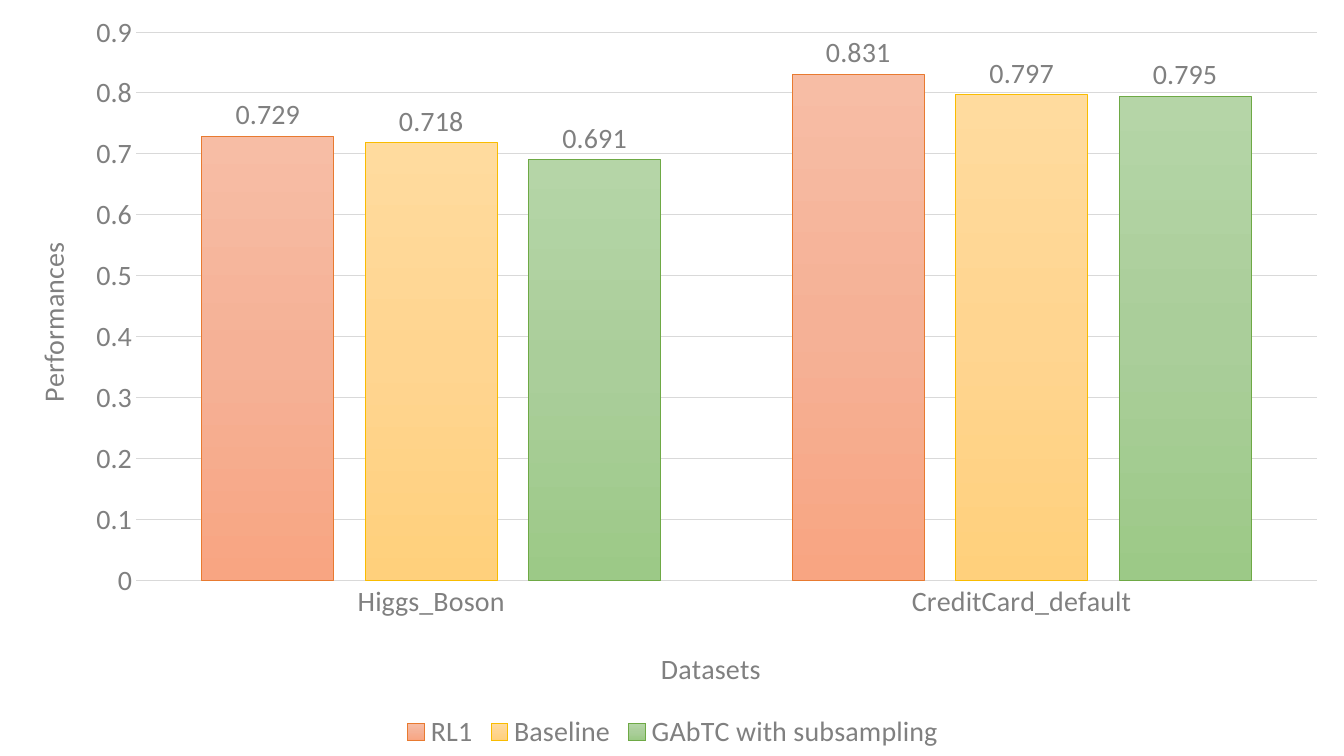
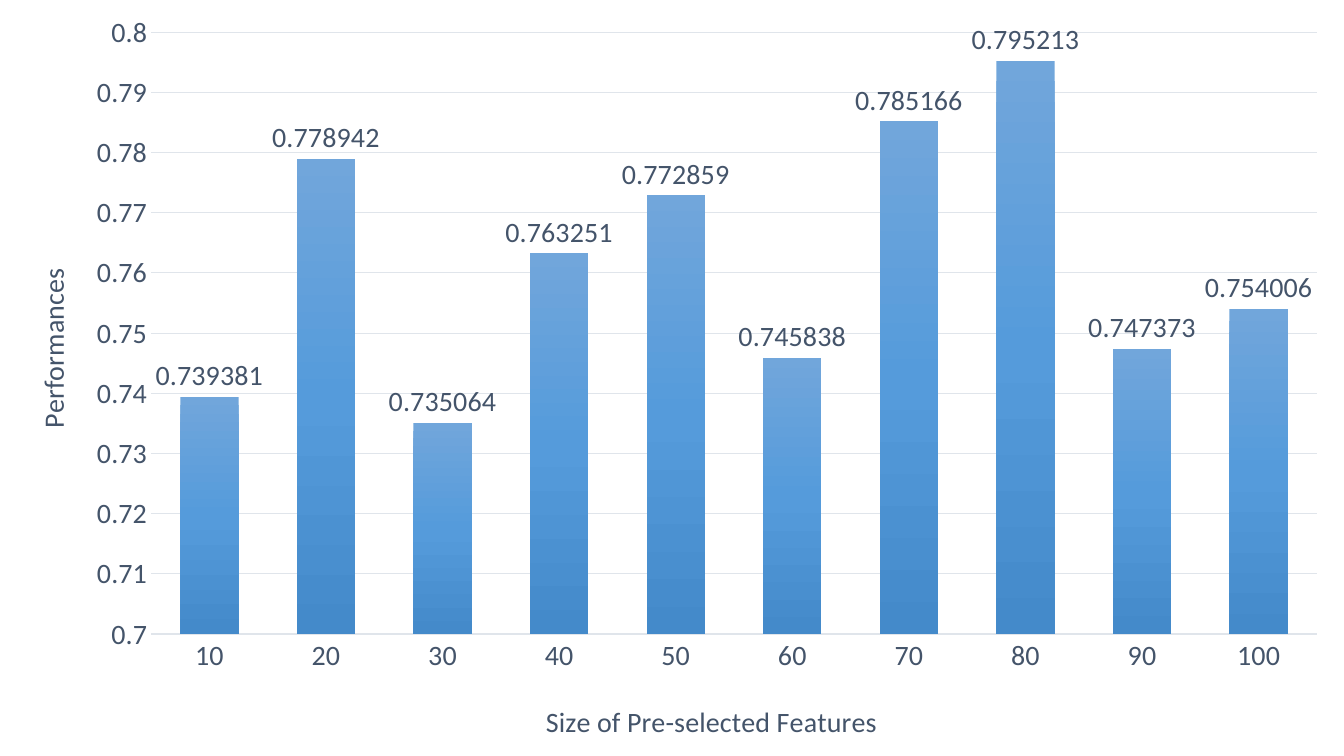
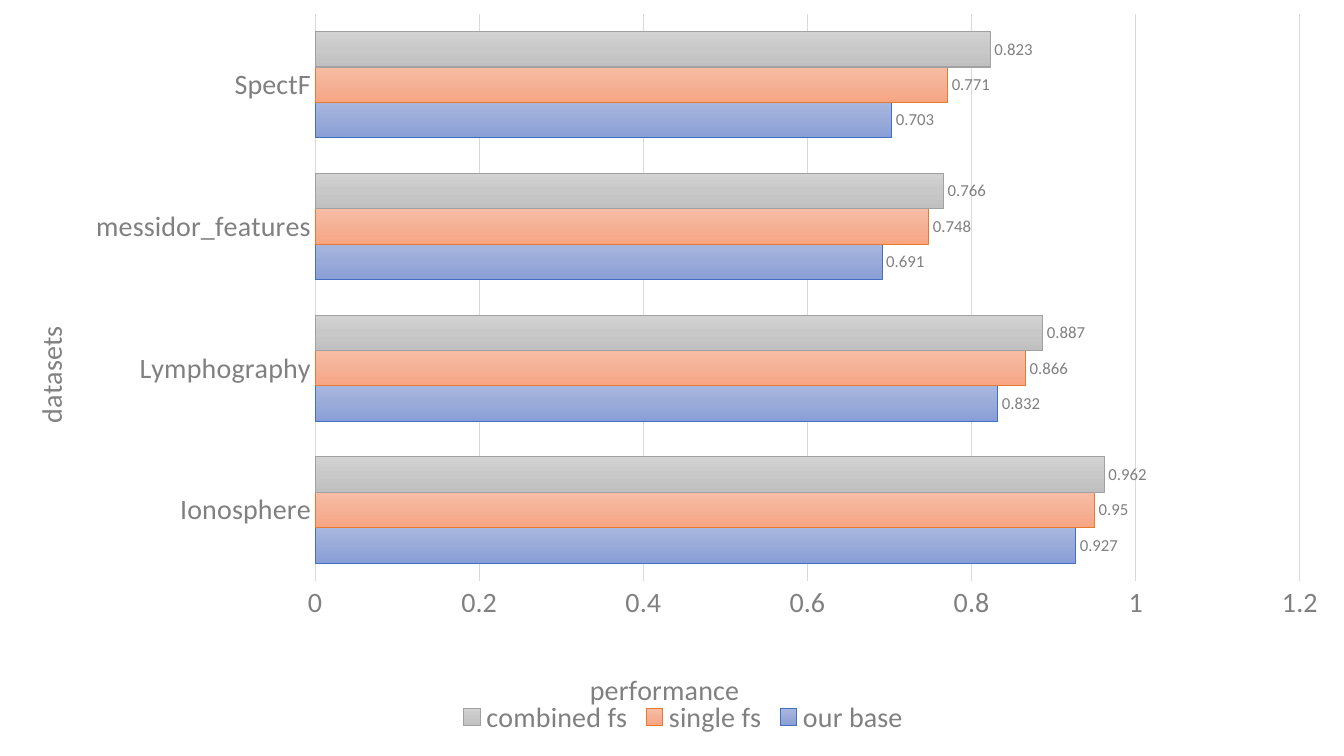
from copy import deepcopy
from dataclasses import dataclass

from pptx import Presentation
from pptx.chart.data import CategoryChartData
from pptx.dml.color import RGBColor
from pptx.enum.chart import XL_CHART_TYPE as ChartType
from pptx.enum.chart import XL_LABEL_POSITION as LabelPosition
from pptx.enum.chart import XL_LEGEND_POSITION as LegendPosition
from pptx.enum.chart import XL_TICK_MARK as TickMark
from pptx.oxml import parse_xml
from pptx.oxml.ns import nsdecls, qn
from pptx.util import Cm, Pt

GRAY = RGBColor(0x80, 0x80, 0x80)
LIGHT_GRAY = RGBColor(0xD9, 0xD9, 0xD9)
SLATE = RGBColor(0x44, 0x54, 0x6A)
PALE_SLATE = RGBColor(0xE0, 0xE5, 0xEB)
ORANGE_LINE = RGBColor(0xE8, 0x7A, 0x30)
YELLOW_LINE = RGBColor(0xF9, 0xBC, 0x00)
GREEN_LINE = RGBColor(0x6E, 0xA9, 0x45)
BLUE_LINE = RGBColor(0x43, 0x6F, 0xC0)
SILVER_LINE = RGBColor(0xA1, 0xA1, 0xA1)
ORANGE = (RGBColor(0xF7, 0xBD, 0xA5), RGBColor(0xF5, 0xB1, 0x96), RGBColor(0xF8, 0xA5, 0x82))
YELLOW = (RGBColor(0xFF, 0xDB, 0x9E), RGBColor(0xFF, 0xD5, 0x90), RGBColor(0xFF, 0xD0, 0x7C))
GREEN = (RGBColor(0xB5, 0xD5, 0xA7), RGBColor(0xAA, 0xCE, 0x9A), RGBColor(0x9C, 0xC9, 0x87))
SKY = (RGBColor(0x71, 0xA6, 0xDB), RGBColor(0x55, 0x9B, 0xDB), RGBColor(0x44, 0x8A, 0xCA))
BLUE = (RGBColor(0xA8, 0xB7, 0xDF), RGBColor(0x9A, 0xAB, 0xD9), RGBColor(0x88, 0x9E, 0xD7))
SILVER = (RGBColor(0xD2, 0xD2, 0xD2), RGBColor(0xC8, 0xC8, 0xC8), RGBColor(0xC0, 0xC0, 0xC0))

FONT = "Calibri"
TEXT_SIZE = Pt(20)
HAIRLINE = Pt(0.75)
WIDTH, HEIGHT = Cm(33.87), Cm(19.05)


@dataclass
class Bars:
    """One data series with its gradient and outline."""
    name: str
    values: tuple
    gradient: tuple
    outline: RGBColor = None


@dataclass
class AxisTitle:
    """Wording of an axis title and its corner in centimetres."""
    text: str
    corner: tuple


@dataclass
class BarChart:
    """Everything that sets one chart apart; places are in centimetres."""
    kind: ChartType
    categories: tuple
    series: tuple
    scale: tuple
    plot: tuple
    category_title: AxisTitle
    value_title: AxisTitle
    legend: tuple = None
    overlap: int = -24
    label_size: Pt = TEXT_SIZE
    text_color: RGBColor = GRAY
    line_color: RGBColor = LIGHT_GRAY


def style_font(font, color, size=TEXT_SIZE):
    """Give a font the shared face and weight."""
    font.name, font.size, font.bold = FONT, size, False
    font.color.rgb = color


def style_line(line, color):
    """Draw a thin line, or none when there is no color."""
    if color is None:
        line.fill.background()
    else:
        line.color.rgb = color
        line.width = HAIRLINE


def place(parent, box, place_in):
    """Fix a chart part at a left, top and optional width, height."""
    layout = parent.find(qn("c:layout"))
    if layout is None:
        layout = parse_xml(f"<c:layout {nsdecls('c')}/>")
        parent.insert(0, layout)
    target = '<c:layoutTarget val="inner"/>' if len(box) == 4 else ""
    modes = '<c:xMode val="edge"/><c:yMode val="edge"/>'
    extents = "".join(
        f'<c:{tag} val="{Cm(length) / whole:.5f}"/>'
        for tag, length, whole in zip("xywh", box, place_in * 2))
    layout.append(parse_xml(
        f"<c:manualLayout {nsdecls('c')}>{target}{modes}{extents}</c:manualLayout>"))


def fill_gradient(fill, colors):
    """Fill with evenly spaced colors from top to bottom."""
    fill.gradient()
    fill.gradient_angle = 270
    first = fill.gradient_stops[0].element
    first.addnext(deepcopy(first))
    for index, (stop, color) in enumerate(zip(fill.gradient_stops, colors)):
        stop.position = index / (len(colors) - 1)
        stop.color.rgb = color


def style_axis(axis, title, color, line_color, size, turned):
    """Format an axis and its title."""
    axis.major_tick_mark = axis.minor_tick_mark = TickMark.NONE
    style_font(axis.tick_labels.font, color)
    style_line(axis.format.line, line_color)
    frame = axis.axis_title.text_frame
    frame.text = title.text
    style_font(frame.paragraphs[0].font, color)
    title_element = axis.axis_title.element
    title_element.find(".//" + qn("a:bodyPr")).set("rot", "-5400000" if turned else "0")
    place(title_element, title.corner, size)


def style_series(series, bars, model):
    """Format the bars and the value labels of a series."""
    series.smooth = False
    fill_gradient(series.format.fill, bars.gradient)
    style_line(series.format.line, bars.outline)
    labels = series.data_labels
    labels.show_value = True
    labels.position = LabelPosition.OUTSIDE_END
    style_font(labels.font, model.text_color, model.label_size)


def add_bar_chart(slide, model, left, top, width, height):
    """Place a clustered chart in the given box."""
    data = CategoryChartData()
    data.categories = model.categories
    for bars in model.series:
        data.add_series(bars.name, bars.values)
    chart = slide.shapes.add_chart(model.kind, left, top, width, height, data).chart
    size = (width, height)
    style_font(chart.font, model.text_color)
    chart.has_title = False
    chart.has_legend = model.legend is not None
    if model.legend:
        chart.legend.position = LegendPosition.BOTTOM
        chart.legend.include_in_layout = False
        style_font(chart.legend.font, model.text_color)
        place(chart.element.find(".//" + qn("c:legend")), model.legend, size)
    place(chart.element.find(".//" + qn("c:plotArea")), model.plot, size)

    plot = chart.plots[0]
    plot.gap_width, plot.overlap = 100, model.overlap
    plot.vary_by_categories = False
    for series, bars in zip(plot.series, model.series):
        style_series(series, bars, model)

    upright = model.kind == ChartType.COLUMN_CLUSTERED
    style_axis(chart.category_axis, model.category_title, model.text_color,
               model.line_color, size, turned=not upright)
    value_axis = chart.value_axis
    style_axis(value_axis, model.value_title, model.text_color, None, size, turned=upright)
    value_axis.minimum_scale, value_axis.maximum_scale, value_axis.major_unit = model.scale
    style_line(value_axis.major_gridlines.format.line, model.line_color)


CHARTS = (
    BarChart(
        kind=ChartType.COLUMN_CLUSTERED,
        categories=("Higgs_Boson", "CreditCard_default"),
        series=(
            Bars("RL1", (0.729, 0.831), ORANGE, ORANGE_LINE),
            Bars("Baseline", (0.718, 0.797), YELLOW, YELLOW_LINE),
            Bars("GAbTC with subsampling", (0.691, 0.795), GREEN, GREEN_LINE),
        ),
        scale=(0, 0.9, 0.1),
        plot=(3.43, 0.81, 29.76, 13.81),
        category_title=AxisTitle("Datasets", (16.53, 16.23)),
        value_title=AxisTitle("Performances", (0.71, 5.97)),
        legend=(10.05, 17.95),
    ),
    BarChart(
        kind=ChartType.COLUMN_CLUSTERED,
        categories=tuple(str(count) for count in range(10, 101, 10)),
        series=(
            Bars("Series 1", (0.739381, 0.778942, 0.735064, 0.763251, 0.772859,
                              0.745838, 0.785166, 0.795213, 0.747373, 0.754006), SKY),
        ),
        scale=(0.7, 0.8, 0.01),
        plot=(3.81, 0.81, 29.38, 15.17),
        category_title=AxisTitle("Size of Pre-selected Features", (13.63, 17.56)),
        value_title=AxisTitle("Performances", (0.71, 6.63)),
        text_color=SLATE,
        line_color=PALE_SLATE,
    ),
    BarChart(
        kind=ChartType.BAR_CLUSTERED,
        categories=("Ionosphere", "Lymphography", "messidor_features", "SpectF"),
        series=(
            Bars("our base", (0.927, 0.832, 0.691, 0.703), BLUE, BLUE_LINE),
            Bars("single fs", (0.95, 0.866, 0.748, 0.771), ORANGE, ORANGE_LINE),
            Bars("combined fs", (0.962, 0.887, 0.766, 0.823), SILVER, SILVER_LINE),
        ),
        scale=(0, 1.2, 0.2),
        plot=(7.94, 0.35, 24.82, 14.29),
        category_title=AxisTitle("datasets", (0.66, 8.09)),
        value_title=AxisTitle("performance", (14.74, 16.76)),
        legend=(11.45, 17.5),
        overlap=0,
        label_size=Pt(12),
    ),
)

presentation = Presentation()
presentation.slide_width, presentation.slide_height = WIDTH, HEIGHT
blank_layout = presentation.slide_layouts[6]
for chart_model in CHARTS:
    add_bar_chart(presentation.slides.add_slide(blank_layout), chart_model,
                  0, 0, WIDTH, HEIGHT)
presentation.save("out.pptx")
